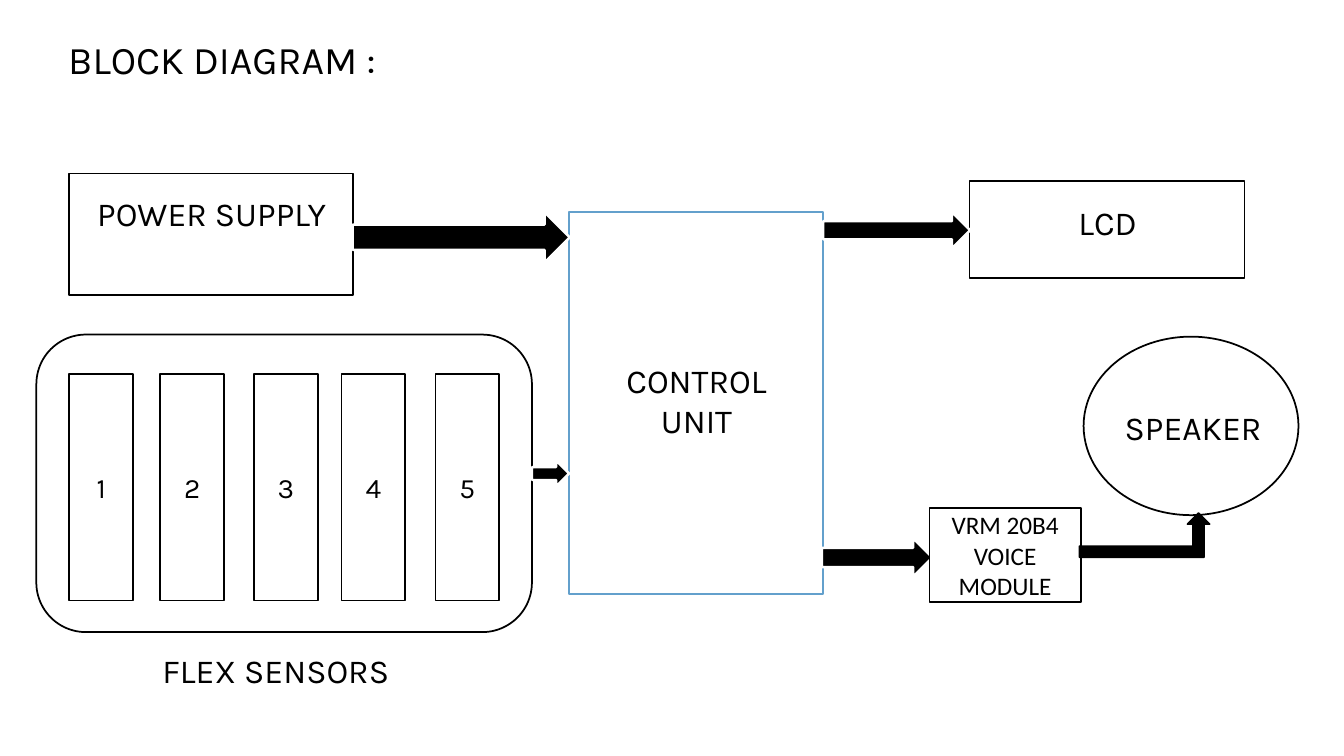
from pptx import Presentation
from pptx import util as u
from pptx.dml import color
from pptx.enum import shapes, text

Pt = u.Pt
SHAPE = shapes.MSO_SHAPE
ANCHOR = text.MSO_ANCHOR
ALIGN = text.PP_ALIGN
BLACK, WHITE, BLUE = "000000", "FFFFFF", "63A0CC"


def rgb(value):
    return color.RGBColor.from_string(value)


def write(frame, content, size=24, font="Karla", align=ALIGN.CENTER,
          anchor=ANCHOR.TOP, ink=BLACK):
    """Put one paragraph per line of content into a text frame."""
    frame.word_wrap = True
    frame.auto_size = text.MSO_AUTO_SIZE.NONE
    frame.vertical_anchor = anchor
    frame.text = content
    for paragraph in frame.paragraphs:
        paragraph.alignment = align
        paragraph.font.size = Pt(size)
        paragraph.font.name = font
        paragraph.font.color.rgb = rgb(ink)


def draw(slide, kind, box, fill=WHITE, line=BLACK, weight=1.25):
    figure = slide.shapes.add_shape(kind, *map(Pt, box))
    figure.shadow.inherit = False
    figure.fill.solid()
    figure.fill.fore_color.rgb = rgb(fill)
    figure.line.color.rgb = rgb(line)
    figure.line.width = Pt(weight)
    return figure


def label(slide, box, content, inset):
    """Text box whose inset (left, top, width, height) is relative to box."""
    left, top, width, height = inset
    caption = slide.shapes.add_textbox(
        Pt(box[0] + left), Pt(box[1] + top), Pt(width), Pt(height))
    write(caption.text_frame, content)


def heading(slide, box):
    title = slide.shapes.title
    title.left, title.top, title.width, title.height = map(Pt, box)
    write(title.text_frame, "BLOCK DIAGRAM :", size=28, align=ALIGN.LEFT)


def labelled_block(slide, box, content, inset, kind=SHAPE.RECTANGLE, line=BLACK):
    draw(slide, kind, box, line=line)
    label(slide, box, content, inset)


def flex_sensors(slide, box):
    left, top = box[:2]
    draw(slide, SHAPE.ROUNDED_RECTANGLE, box)
    for number, offset in enumerate((23.5, 88.5, 155.5, 218, 285), start=1):
        sensor = draw(slide, SHAPE.RECTANGLE, (left + offset, top + 28, 45.5, 162))
        write(sensor.text_frame, str(number), size=20, anchor=ANCHOR.MIDDLE)
    label(slide, box, "FLEX SENSORS", (12, 222, 318, 36))


def voice_module(slide, box):
    module = draw(slide, SHAPE.RECTANGLE, box)
    write(module.text_frame, "VRM 20B4 VOICE MODULE", size=18, font="Calibri",
          anchor=ANCHOR.MIDDLE)
    # Bent arrow from the module up to the speaker
    left, top, width, _ = box
    draw(slide, SHAPE.BENT_UP_ARROW, (left + width - 1, top + 3.5, 93, 31.5),
         fill=BLACK)


def signal_arrows(slide, boxes):
    for box in boxes:
        draw(slide, SHAPE.RIGHT_ARROW, box, fill=BLACK, line=WHITE, weight=1.75)


def main():
    deck = Presentation()
    deck.slide_width, deck.slide_height = Pt(960), Pt(540)
    slide = deck.slides.add_slide(deck.slide_layouts[5])

    heading(slide, (41.5, 21.5, 324, 41))

    # Blocks with their labels
    labelled_block(slide, (49.5, 124, 202.5, 87), "POWER SUPPLY",
                   (11, 10.5, 181.5, 65.5))
    labelled_block(slide, (692.5, 129.5, 196.5, 69), "LCD", (31, 11, 135.5, 36))
    labelled_block(slide, (406.5, 151.5, 181.5, 273), "CONTROL\nUNIT",
                   (13.5, 102, 155, 65.5), line=BLUE)
    labelled_block(slide, (774, 240.5, 153.5, 127.5), "SPEAKER",
                   (9.5, 46.5, 137.5, 36), kind=SHAPE.OVAL)
    flex_sensors(slide, (26, 239, 354, 212.5))

    # Signal flow
    signal_arrows(slide, [
        (252, 151.5, 155, 36),      # power supply to controller
        (380, 329, 26.5, 18.5),     # flex sensors to controller
        (588, 151.5, 105, 26),      # controller to LCD
        (587, 384.5, 79, 27.5),     # controller to voice module
    ])
    voice_module(slide, (664, 363, 108, 67))

    deck.save("out.pptx")


if __name__ == "__main__":
    main()
